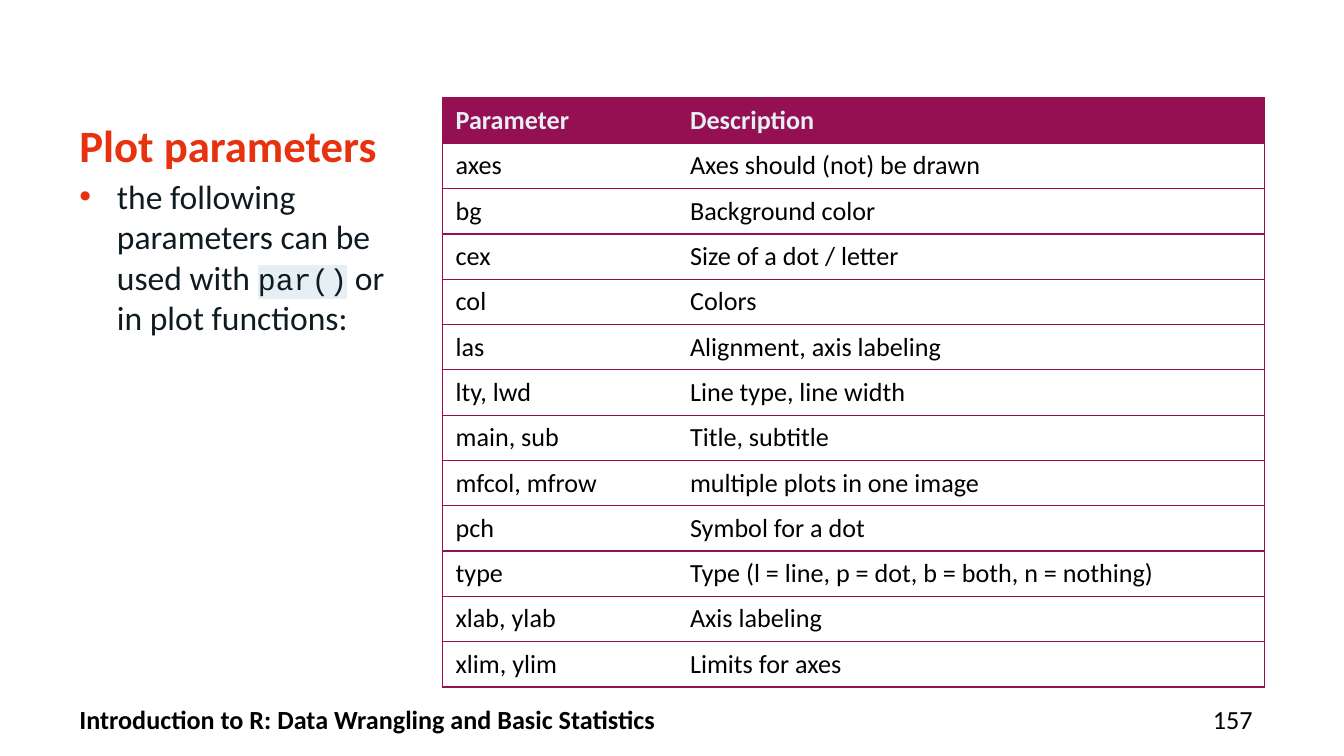
from lxml.etree import SubElement
from pptx import Presentation
from pptx.dml.color import RGBColor as RGB
from pptx.enum.text import MSO_ANCHOR as Anchor, MSO_AUTO_SIZE as Fit, PP_ALIGN as Align
from pptx.oxml import parse_xml
from pptx.oxml.ns import nsdecls, qn
from pptx.util import Inches, Pt

COLORS = {"red": "E6320F", "ink": "0F1B20", "pale": "E6EFF3",
          "plum": "950F53", "black": "000000", "white": "FFFFFF"}
ROWS = [
    ("Parameter", "Description"),
    ("axes", "Axes should (not) be drawn"),
    ("bg", "Background color"),
    ("cex", "Size of a dot / letter"),
    ("col", "Colors"),
    ("las", "Alignment, axis labeling"),
    ("lty, lwd", "Line type, line width"),
    ("main, sub", "Title, subtitle"),
    ("mfcol, mfrow", "multiple plots in one image"),
    ("pch", "Symbol for a dot"),
    ("type", "Type (l = line, p = dot, b = both, n = nothing)"),
    ("xlab, ylab", "Axis labeling"),
    ("xlim, ylim", "Limits for axes"),
]


def style(font, color, **values):
    font.color.rgb = RGB.from_string(COLORS[color])
    for key, value in {"name": "Calibri", "bold": False, **values}.items():
        setattr(font, key, value)


def place(shape, box, anchor=Anchor.TOP):
    """Move a text shape to its box and clear its margins."""
    for key, value in zip(("left", "top", "width", "height"), box):
        setattr(shape, key, Inches(value))
    frame = shape.text_frame
    margins = dict.fromkeys(
        ("margin_left", "margin_top", "margin_right", "margin_bottom"), 0)
    for key, value in {**margins, "word_wrap": True, "auto_size": Fit.NONE,
                       "vertical_anchor": anchor}.items():
        setattr(frame, key, value)
    return frame.paragraphs[0]


def add_title(slide, box):
    para = place(slide.shapes.title, box)
    para.alignment, para.line_spacing = Align.LEFT, Pt(30)
    run = para.add_run()
    run.text = "Plot parameters"
    style(run.font, "red", size=Pt(24), bold=True)


def add_bullet(para, color):
    props = para._p.get_or_add_pPr()
    indent = Inches(0.28)
    props.set("marL", str(indent))
    props.set("indent", str(-indent))
    tint = SubElement(props, qn("a:buClr"))
    SubElement(tint, qn("a:srgbClr"), val=COLORS[color])
    SubElement(props, qn("a:buFont"), typeface="Arial")
    SubElement(props, qn("a:buChar"), char="•")


def mark(run, color):
    """Highlight a run that already has a fill colour."""
    fill = run._r.rPr.find(qn("a:solidFill"))
    fill.addnext(parse_xml(f'<a:highlight {nsdecls("a")}>'
                           f'<a:srgbClr val="{COLORS[color]}"/></a:highlight>'))


def add_body(slide, box):
    para = place(slide.placeholders[1], box)
    add_bullet(para, "red")
    para.space_before, para.space_after = Pt(0), Pt(6)
    for text, code in (("the following parameters can be used with ", False),
                       ("par()", True), (" or in plot functions:", False)):
        run = para.add_run()
        run.text = text
        style(run.font, "ink", size=Pt(16 if code else 18),
              name="Courier New" if code else "Calibri")
        if code:
            mark(run, "pale")


def add_borders(cell, sides):
    """Draw the named sides and hide the others."""
    props = cell._tc.get_or_add_tcPr()
    for spot, side in enumerate("LRTB"):
        fill = (f'<a:solidFill><a:srgbClr val="{COLORS["plum"]}"/></a:solidFill>'
                if side in sides else "<a:noFill/>")
        props.insert(spot, parse_xml(
            f'<a:ln{side} {nsdecls("a")} w="{Pt(0.75)}">{fill}</a:ln{side}>'))


def add_grid(slide, box):
    table = slide.shapes.add_table(len(ROWS), 2, *map(Inches, box)).table
    table.horz_banding = False
    for col, share in zip(table.columns, (0.285, 0.715)):
        col.width = Inches(box[2] * share)
    for r, row in enumerate(ROWS):
        head = r == 0
        for c, text in enumerate(row):
            cell = table.cell(r, c)
            cell.text = text
            style(cell.text_frame.paragraphs[0].runs[0].font,
                  "pale" if head else "black", size=Pt(14), bold=head)
            cell.fill.solid()
            cell.fill.fore_color.rgb = RGB.from_string(
                COLORS["plum" if head else "white"])
            add_borders(cell, "TB" + "LR"[c])


def add_footer(slide, box):
    left, top, width, height = box
    page = 1.05
    for text, x, w, align, bold in (
            ("157", left + width - page, page, Align.RIGHT, False),
            ("Introduction to R: Data Wrangling and Basic Statistics",
             left, 7.52, Align.LEFT, True)):
        spot = (x, top, w, height)
        para = place(slide.shapes.add_textbox(*map(Inches, spot)),
                     spot, Anchor.MIDDLE)
        para.alignment = align
        run = para.add_run()
        run.text = text
        style(run.font, "black", size=Pt(14), bold=bold)


def main():
    deck = Presentation()
    deck.slide_width = Inches(10)
    deck.slide_height = deck.slide_width * 9 // 16
    slide = deck.slides.add_slide(deck.slide_layouts[1])
    add_title(slide, (0.59, 0.86, 8.73, 0.68))
    add_body(slide, (0.59, 1.31, 2.48, 3.73))
    add_grid(slide, (3.29, 0.73, 6.12, 4.33))
    add_footer(slide, (0.59, 5.24, 8.73, 0.22))
    deck.save("out.pptx")


if __name__ == "__main__":
    main()
